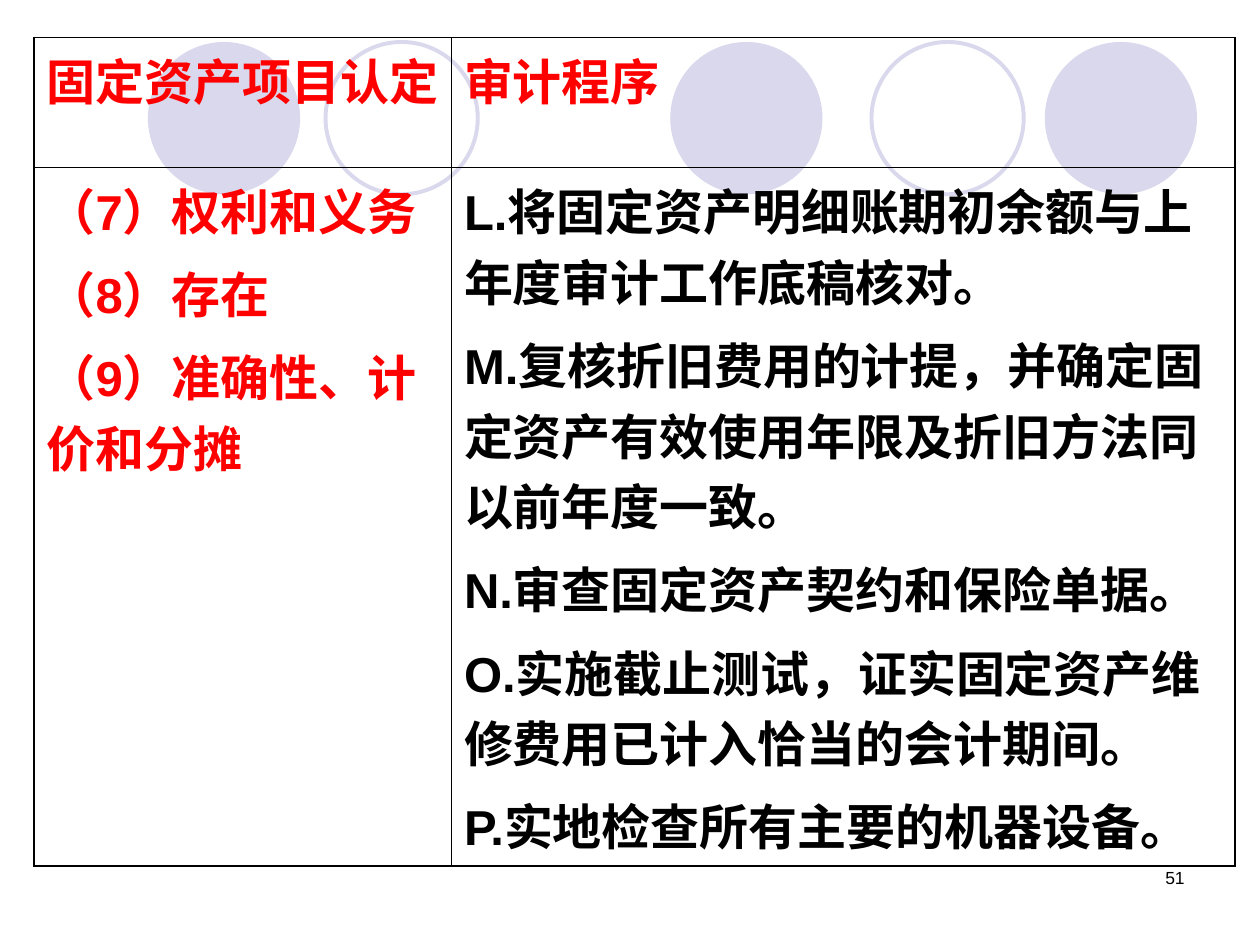
"""Build the slide on fixed asset assertions and audit procedures."""
import pptx
import pptx.dml.color
import pptx.enum.shapes
import pptx.enum.text
import pptx.oxml
import pptx.oxml.ns
import pptx.util

Pt = pptx.util.Pt
RGB = pptx.dml.color.RGBColor.from_string
HUES = {"red": "FF0000", "black": "000000", "lilac": "D9D8EC"}


def style(run, size, hue, bold=False):
    run.font.name = "Arial"
    run.font.size = Pt(size)
    run.font.bold = bold
    run.font.color.rgb = RGB(HUES[hue])


def edge(cell, side, width):
    cell._tc.get_or_add_tcPr().append(pptx.oxml.parse_xml(
        f'<a:ln{side} {pptx.oxml.ns.nsdecls("a")} w="{Pt(width)}"><a:solidFill>'
        f'<a:srgbClr val="{HUES["black"]}"/></a:solidFill></a:ln{side}>'))


deck = pptx.Presentation()
deck.slide_width, deck.slide_height = Pt(720), Pt(540)
slide = deck.slides.add_slide(deck.slide_layouts[6])

for left, solid in [(383, True), (597, True), (84.5, True), (498, False), (186, False)]:
    disc = slide.shapes.add_shape(
        pptx.enum.shapes.MSO_SHAPE.OVAL, Pt(left), Pt(24), Pt(87), Pt(87))
    disc.shadow.inherit = False
    if solid:
        disc.fill.solid()
        disc.fill.fore_color.rgb = RGB(HUES["lilac"])
        disc.line.fill.background()
    else:
        disc.fill.background()
        disc.line.color.rgb = RGB(HUES["lilac"])
        disc.line.width = Pt(2.25)

box = slide.shapes.add_textbox(Pt(516), Pt(492), Pt(168), Pt(36))
box.text_frame.word_wrap = True
para = box.text_frame.paragraphs[0]
para.alignment = pptx.enum.text.PP_ALIGN.RIGHT
run = para.add_run()
run.text = "51"
style(run, 10, "black")

rows = [
    [("red", ["固定资产项目认定"]), ("red", ["审计程序"])],
    [("red", ["（7）权利和义务", "（8）存在", "（9）准确性、计价和分摊"]),
     ("black", [
         "L.将固定资产明细账期初余额与上年度审计工作底稿核对。",
         "M.复核折旧费用的计提，并确定固定资产有效使用年限及折旧方法同以前年度一致。",
         "N.审查固定资产契约和保险单据。",
         "O.实施截止测试，证实固定资产维修费用已计入恰当的会计期间。",
         "P.实地检查所有主要的机器设备。"])],
]
table = slide.shapes.add_table(
    2, 2, Pt(19.5), Pt(21.5), Pt(686.25), Pt(473.5)).table
table.first_row = table.horz_banding = False
for col, width in zip(table.columns, [238.5, 447.75]):
    col.width = Pt(width)
for row, height in zip(table.rows, [74.25, 399.25]):
    row.height = Pt(height)

for i, row in enumerate(rows):
    for j, (hue, lines) in enumerate(row):
        cell = table.cell(i, j)
        outer = {"L": j == 0, "R": j == 1, "T": i == 0, "B": i == 1}
        for side, thick in outer.items():
            edge(cell, side, 1.08 if thick else 0.45)
        cell.fill.background()
        frame = cell.text_frame
        for n, line in enumerate(lines):
            para = frame.add_paragraph() if n else frame.paragraphs[0]
            if n:
                para.space_before = Pt(7)
            run = para.add_run()
            run.text = line
            style(run, 28, hue, True)

deck.save("out.pptx")
